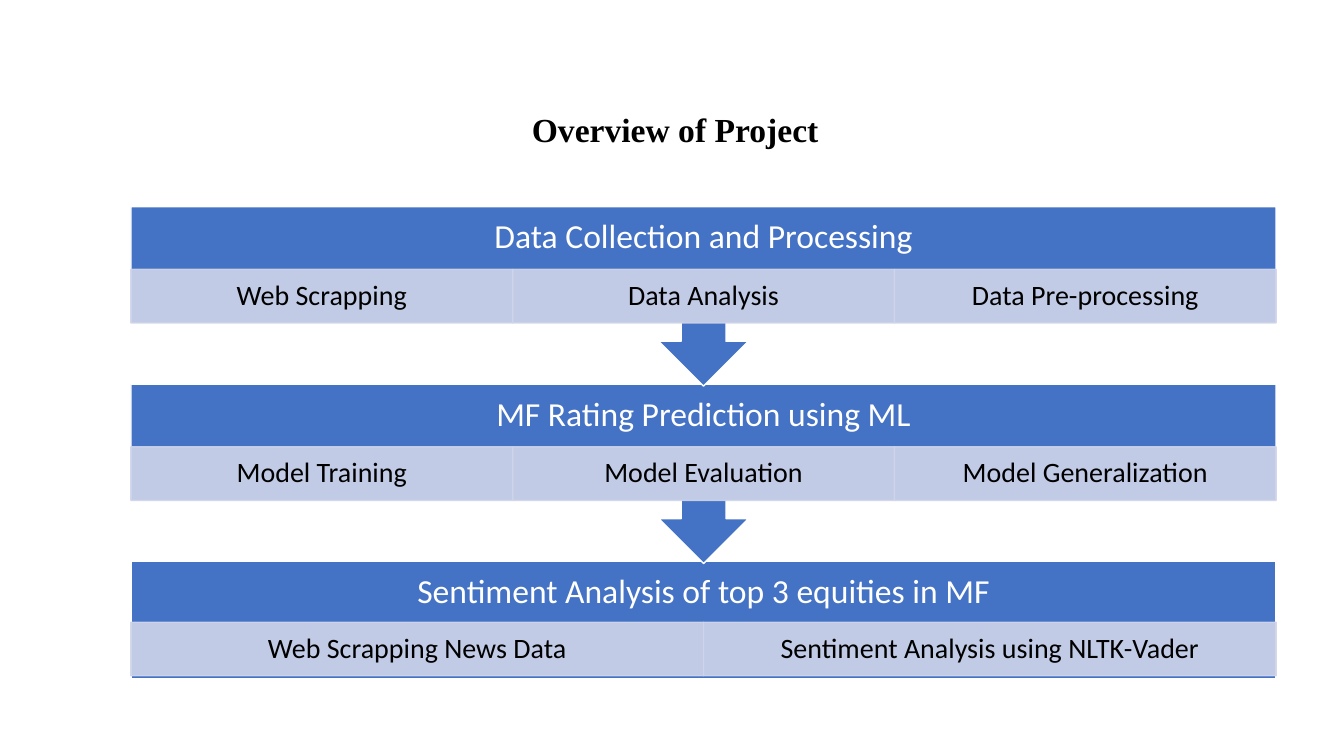
from dataclasses import dataclass

from lxml.etree import SubElement
from pptx import Presentation
from pptx.dml.color import RGBColor
from pptx.enum.shapes import MSO_SHAPE
from pptx.enum.text import MSO_ANCHOR, MSO_AUTO_SIZE, PP_ALIGN
from pptx.oxml.ns import qn
from pptx.shapes.autoshape import Shape
from pptx.slide import Slide
from pptx.util import Cm, Pt

BLUE = RGBColor(0x44, 0x72, 0xC4)
PALE = RGBColor(0xCF, 0xD5, 0xEA)
WHITE = RGBColor(0xFF, 0xFF, 0xFF)
BLACK = RGBColor(0x00, 0x00, 0x00)

LEFT, TOP, WIDTH, STEP = 3.3, 5.21, 28.86, 4.47
HEAD, CELL = 1.57, 1.35


@dataclass
class Stage:
    title: str
    tasks: list[str]
    kind: MSO_SHAPE = MSO_SHAPE.UP_ARROW_CALLOUT
    height: float = 4.52
    turn: int = 180
    drop: float = 1.58


STAGES = [
    Stage("Data Collection and Processing",
          ["Web Scrapping", "Data Analysis", "Data Pre-processing"]),
    Stage("MF Rating Prediction using ML",
          ["Model Training", "Model Evaluation", "Model Generalization"]),
    Stage("Sentiment Analysis of top 3 equities in MF",
          ["Web Scrapping News Data", "Sentiment Analysis using NLTK-Vader"],
          MSO_SHAPE.RECTANGLE, 2.95, 0, 1.53),
]


def write(shape: Shape, text: str, size: int, color: RGBColor,
          font: str = "Calibri", bold: bool = False) -> None:
    frame = shape.text_frame
    frame.text = text
    frame.word_wrap = True
    frame.auto_size = MSO_AUTO_SIZE.NONE
    frame.vertical_anchor = MSO_ANCHOR.MIDDLE
    para = frame.paragraphs[0]
    para.alignment = PP_ALIGN.CENTER
    para.line_spacing = 0.9
    para.font.name = font
    para.font.size = Pt(size)
    para.font.bold = bold
    para.font.color.rgb = color


def pad(shape: Shape, side: float, end: float) -> None:
    frame = shape.text_frame
    frame.margin_left = frame.margin_right = Cm(side)
    frame.margin_top = frame.margin_bottom = Cm(end)


def add_box(slide: Slide, kind: MSO_SHAPE, x: float, y: float, w: float,
            h: float, fill: RGBColor, line: RGBColor) -> Shape:
    box = slide.shapes.add_shape(kind, Cm(x), Cm(y), Cm(w), Cm(h))
    box.shadow.inherit = False
    box.fill.solid()
    box.fill.fore_color.rgb = fill
    box.line.color.rgb = line
    box.line.width = Pt(1)
    return box


def fade(shape: Shape, share: int) -> None:
    for color in shape._element.spPr.iter(qn("a:srgbClr")):
        SubElement(color, qn("a:alpha")).set("val", str(share * 1000))


def add_stage(slide: Slide, stage: Stage, y: float) -> None:
    body = add_box(slide, stage.kind, LEFT, y, WIDTH, stage.height, BLUE, WHITE)
    body.rotation = stage.turn
    head = slide.shapes.add_textbox(Cm(LEFT), Cm(y), Cm(WIDTH), Cm(HEAD))
    write(head, stage.title, 24, WHITE)
    pad(head, 0.48, 0.48)
    wide = WIDTH / len(stage.tasks)
    for i, task in enumerate(stage.tasks):
        cell = add_box(slide, MSO_SHAPE.RECTANGLE, LEFT + i * wide,
                       y + stage.drop, wide, CELL, PALE, PALE)
        fade(cell, 90)
        write(cell, task, 20, BLACK)
        pad(cell, 0.41, 0.08)


def main() -> None:
    deck = Presentation()
    deck.slide_width, deck.slide_height = Cm(33.87), Cm(19.05)
    slide = deck.slides.add_slide(deck.slide_layouts[5])
    title = slide.shapes.title
    title.left, title.top = Cm(2.41), Cm(2.54)
    title.width, title.height = Cm(29.21), Cm(1.57)
    write(title, "Overview of Project", 24, BLACK, "Times New Roman", True)
    for i, stage in reversed(list(enumerate(STAGES))):
        add_stage(slide, stage, TOP + i * STEP)
    deck.save("out.pptx")


if __name__ == "__main__":
    main()
